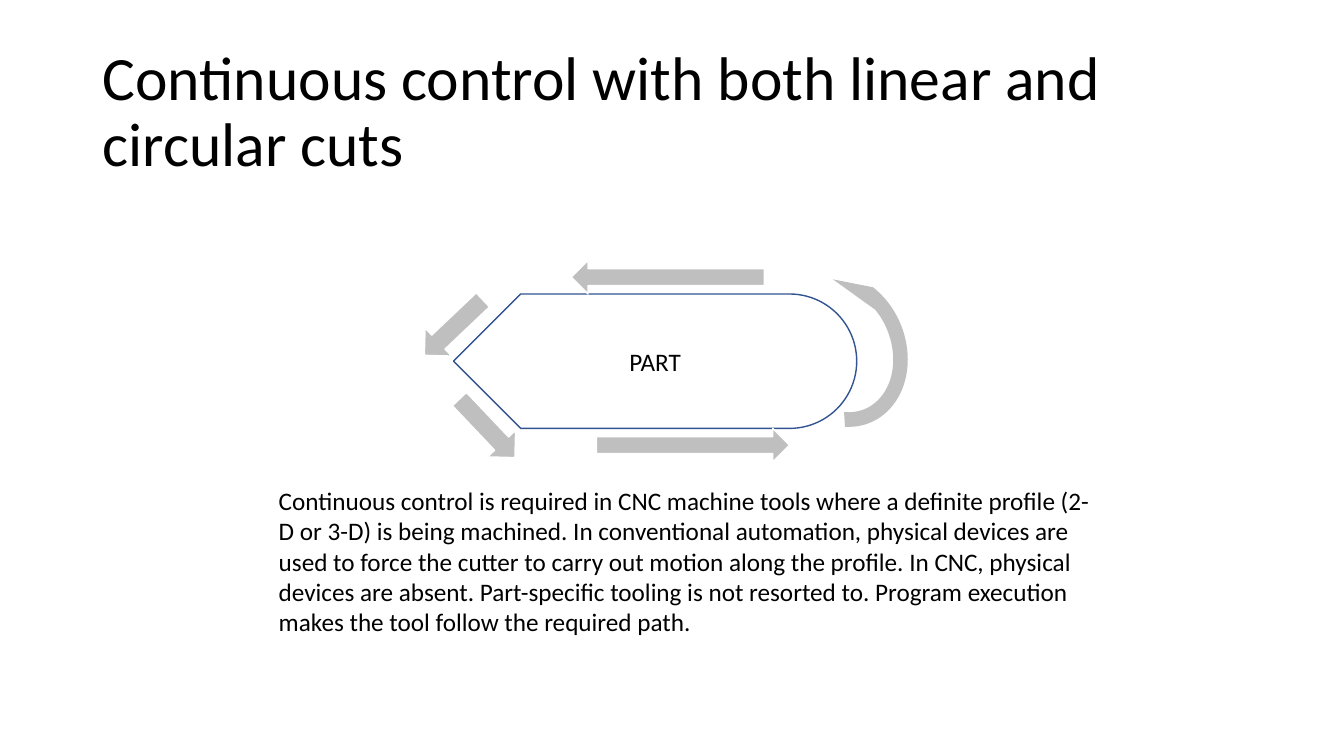
from pptx import Presentation
from pptx.dml.color import RGBColor
from pptx.enum.shapes import MSO_SHAPE
from pptx.enum.text import MSO_ANCHOR, MSO_AUTO_SIZE, PP_ALIGN
from pptx.util import Inches, Pt

ARROW = MSO_SHAPE.RIGHT_ARROW
ARC = MSO_SHAPE.CIRCULAR_ARROW
DISPLAY = MSO_SHAPE.FLOWCHART_DISPLAY
LEFT, CENTER = PP_ALIGN.LEFT, PP_ALIGN.CENTER
TOP, MIDDLE = MSO_ANCHOR.TOP, MSO_ANCHOR.MIDDLE
FIT, NO_FIT = MSO_AUTO_SIZE.SHAPE_TO_FIT_TEXT, MSO_AUTO_SIZE.NONE

FONT = "Calibri"
COLORS = {"text": "000000", "paper": "FFFFFF", "arrow": "BFBFBF", "edge": "325491"}

# The slide is a grid of 160 columns by 90 rows, 12 to the inch
COLS, ROWS, CELL = 160, 90, Inches(1) / 12

TITLE = "Continuous control with both linear and circular cuts"
BODY = (
    "Continuous control is required in CNC machine tools where a definite "
    "profile (2-D or 3-D) is being machined. In conventional automation, "
    "physical devices are used to force the cutter to carry out motion along "
    "the profile. In CNC, physical devices are absent. Part-specific tooling "
    "is not resorted to. Program execution makes the tool follow the required path."
)

# Straight cuts: column, row, width, height, turn
CUTS = [
    (71, 51, 23, 4, 0),
    (68, 31, 23, 4, 180),
    (49.2, 36.7, 9.6, 4.6, 136.5),
    (53.2, 48.7, 9.6, 4.6, 46.5),
]


def color(name):
    return RGBColor.from_string(COLORS[name])


def grid(*cells):
    return [round(cell * CELL) for cell in cells]


def write(shape, text, size, align=LEFT, anchor=TOP, fit=NO_FIT):
    frame = shape.text_frame
    frame.text = text
    frame.word_wrap = True
    frame.auto_size = fit
    frame.vertical_anchor = anchor
    para = frame.paragraphs[0]
    para.alignment = align
    font = para.runs[0].font
    font.name, font.size = FONT, Pt(size)
    font.color.rgb = color("text")
    return para


def draw(group, kind, box, fill, edge=None, turn=0):
    shape = group.shapes.add_shape(kind, *grid(*box))
    shape.shadow.inherit = False
    shape.rotation = turn
    shape.fill.solid()
    shape.fill.fore_color.rgb = color(fill)
    if edge:
        shape.line.color.rgb = color(edge)
        shape.line.width = Pt(1)
    else:
        shape.line.fill.background()
    return shape


def add_title(slide):
    title = slide.shapes.title
    title.left, title.top, title.width, title.height = grid(11, 4.8, 138, 17.4)
    write(title, TITLE, 44, anchor=MIDDLE).line_spacing = 0.9


def add_arc(group):
    arc = draw(group, ARC, (90.5, 33.7, 19, 15.8), "arrow", turn=248)
    for i, value in enumerate((0.11, 23.5, 182.76, 97.01, 0.06)):
        arc.adjustments[i] = value
    arc._element.spPr.xfrm.set("flipV", "1")


def add_part(slide):
    group = slide.shapes.add_group_shape()
    part = draw(group, DISPLAY, (54, 35, 48, 16), "paper", "edge")
    write(part, "PART", 18, CENTER, MIDDLE)
    add_arc(group)
    for *box, turn in CUTS:
        draw(group, ARROW, box, "arrow", "paper", turn)


def add_body(slide):
    box = slide.shapes.add_textbox(*grid(32, 57.2, 100, 19.4))
    write(box, BODY, 18, fit=FIT)


def main():
    deck = Presentation()
    deck.slide_width, deck.slide_height = grid(COLS, ROWS)
    slide = deck.slides.add_slide(deck.slide_layouts[5])
    add_title(slide)
    add_part(slide)
    add_body(slide)
    deck.save("out.pptx")


if __name__ == "__main__":
    main()
